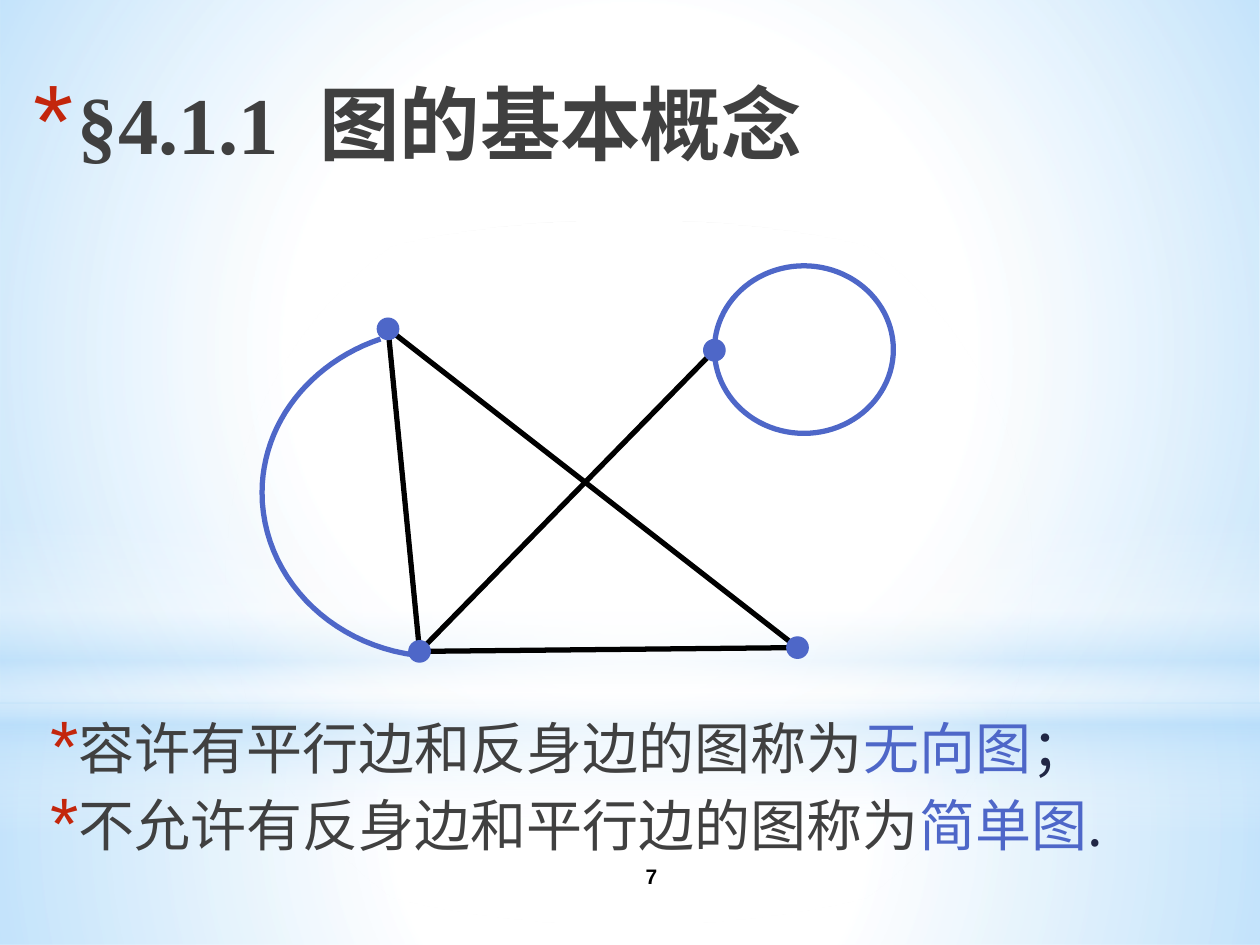
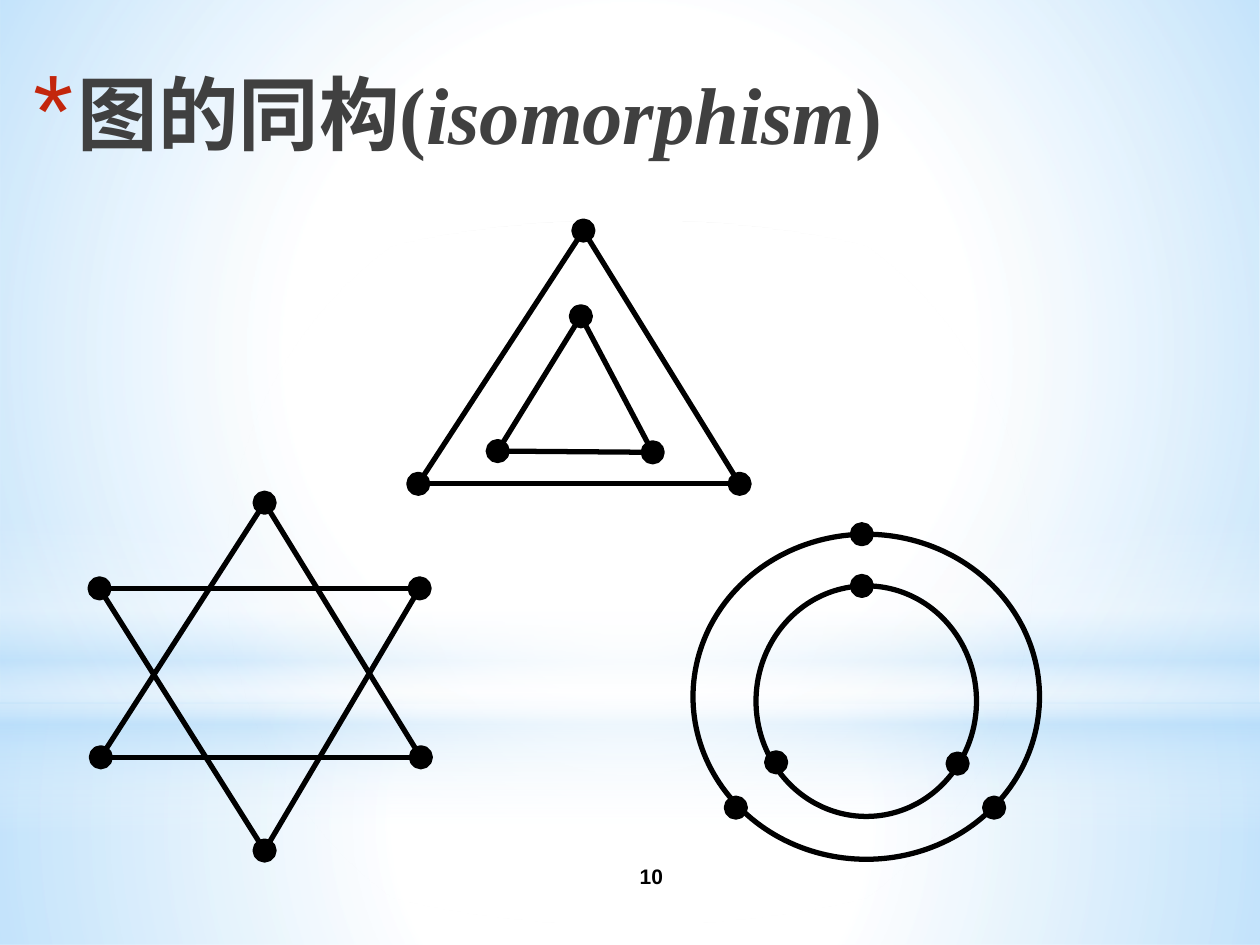
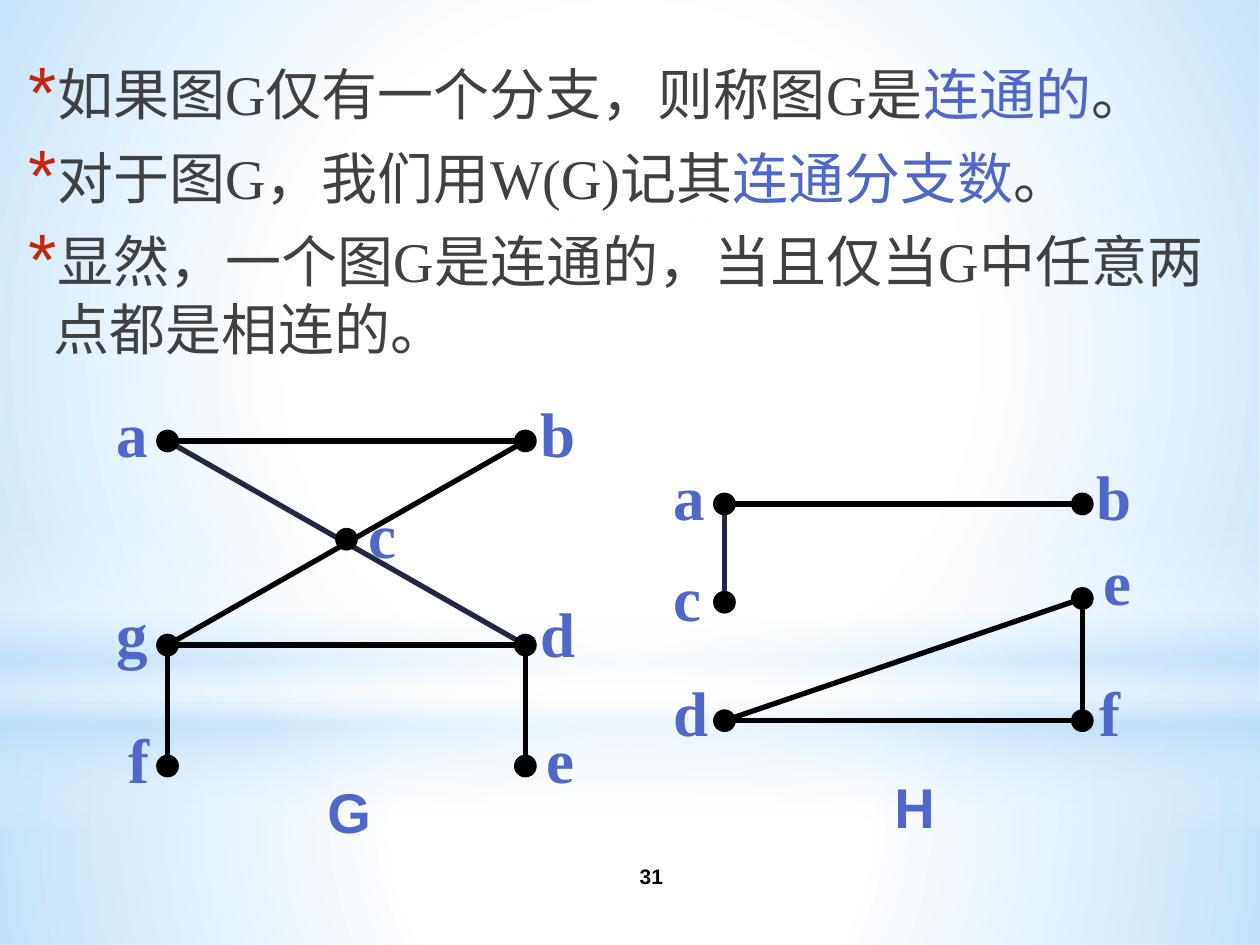
import pptx
import pptx.util
import pptx.dml.color
import pptx.enum.shapes
import pptx.enum.text
import pptx.oxml
import pptx.oxml.ns

Inches = pptx.util.Inches
Pt = pptx.util.Pt
RGB = pptx.dml.color.RGBColor
KIND = pptx.enum.shapes.MSO_SHAPE
ALIGN = pptx.enum.text.PP_ALIGN
ANCHOR = pptx.enum.text.MSO_ANCHOR

BLACK = RGB(0x00, 0x00, 0x00)
WHITE = RGB(0xFF, 0xFF, 0xFF)
SKY = RGB(0xB4, 0xDC, 0xFA)
BLUE = RGB(0x4E, 0x67, 0xC8)
NAVY = RGB(0x21, 0x27, 0x45)
GREY = RGB(0x40, 0x40, 0x40)
RED = RGB(0xC3, 0x26, 0x0C)

SERIF = "Times New Roman"
SANS = "Arial"
HAN = "Noto Sans CJK SC"
TITLE = {"size": Pt(46), "name": SERIF, "bold": True}
LABEL = {"size": Pt(36), "name": SERIF, "bold": True}
NAME = {"size": Pt(32), "name": SANS, "bold": True}
PAGE = {"size": Pt(12), "name": SANS, "bold": True}
WIDE = {"a": 0.45, "b": 0.48, "c": 0.42, "d": 0.48, "e": 0.42,
        "f": 0.41, "g": 0.45, "G": 0.55, "H": 0.52}

CENTRE = ('<a:path path="circle"><a:fillToRect l="50000" t="50000" '
          'r="50000" b="50000"/></a:path>')
DOWN = '<a:lin ang="5400000" scaled="0"/>'
BANDS = [
    (KIND.RECTANGLE, (0, 5.58, 10, 1.92), CENTRE,
     [(0, WHITE, 91), (37, WHITE, 76), (100, SKY, 79)]),
    (KIND.RECTANGLE, (0, 0, 10, 5.58), CENTRE,
     [(0, WHITE, 89), (48, WHITE, 62), (100, SKY, 79)]),
    (KIND.RECTANGLE, (0, 4.12, 10, 2.5), DOWN,
     [(0, WHITE, 0), (29, WHITE, 30), (45, SKY, 40),
      (55, WHITE, 26), (65, SKY, 60), (100, WHITE, 0)]),
    (KIND.OVAL, (0, 1.75, 10, 5.58), CENTRE,
     [(0, WHITE, 100), (56, WHITE, 0)]),
]


def put(item, values):
    for key, value in values.items():
        setattr(item, key, value)


def node(text):
    space = pptx.oxml.ns.nsdecls("a")
    return pptx.oxml.parse_xml(text.replace(" ", f" {space} ", 1))


def blend(shape, stops, path):
    marks = "".join(
        f'<a:gs pos="{pos * 1000}"><a:srgbClr val="{tint}">'
        f'<a:alpha val="{alpha * 1000}"/></a:srgbClr></a:gs>'
        for pos, tint, alpha in stops)
    shape.fill.background()
    old = shape.element.spPr.find(pptx.oxml.ns.qn("a:noFill"))
    old.getparent().replace(old, node(
        f'<a:gradFill rotWithShape="1"><a:gsLst>{marks}</a:gsLst>{path}</a:gradFill>'))


def backdrop(slide, layout):
    for holder in list(layout.placeholders):
        holder.element.getparent().remove(holder.element)
    bands = []
    for kind, box, path, stops in BANDS:
        band = slide.shapes.add_shape(kind, *map(Inches, box))
        band.shadow.inherit = False
        band.line.fill.background()
        blend(band, stops, path)
        bands.append(band)
    for band in bands:
        layout.element.cSld.spTree.append(band.element)


def write(para, runs, face):
    for text, tint, *more in runs:
        run = para.add_run()
        run.text = text
        put(run.font, face)
        run.font.color.rgb = tint
        for extra in more:
            put(run.font, extra)


def bullet(para, indent, hang, size):
    props = para._p.get_or_add_pPr()
    props.set("marL", str(Inches(indent)))
    props.set("indent", str(-Inches(hang)))
    for text in (f'<a:buClr ><a:srgbClr val="{RED}"/></a:buClr>',
                 f'<a:buSzPct val="{size * 1000}"/>',
                 f'<a:buFont typeface="{SANS}"/>',
                 '<a:buChar char="*"/>'):
        props.append(node(text))


def frame(shapes, box, wrap=True):
    text = shapes.add_textbox(*map(Inches, box)).text_frame
    text.word_wrap = wrap
    return text


def title(slide, top, runs):
    para = frame(slide.shapes, (0.17, top, 8.5, 0.83)).paragraphs[0]
    bullet(para, 0.35, 0.35, 128)
    para.line_spacing = Pt(58)
    write(para, runs, TITLE)


def body(slide, box, rows, font, pitch):
    text = frame(slide.shapes, box)
    for i, runs in enumerate(rows):
        para = text.add_paragraph() if i else text.paragraphs[0]
        bullet(para, 0.25, 0.2, 130)
        put(para, {"line_spacing": Pt(pitch), "space_after": Pt(3)})
        if i:
            para.space_before = Pt(6.4)
        write(para, runs, {"size": Pt(32), "name": font})


def footer(slide, number):
    text = frame(slide.shapes, (4.17, 6.75, 2, 0.4))
    text.vertical_anchor = ANCHOR.MIDDLE
    text.paragraphs[0].alignment = ALIGN.CENTER
    write(text.paragraphs[0], [(number, BLACK)], PAGE)


def line(shapes, start, end, tint=BLACK):
    link = shapes.add_connector(pptx.enum.shapes.MSO_CONNECTOR.STRAIGHT,
                                *map(Inches, start + end))
    link.line.color.rgb = tint
    link.line.width = Pt(3)
    link.element.spPr.append(node("<a:effectLst />"))


def oval(shapes, box, tint, width=3, solid=False):
    ring = shapes.add_shape(KIND.OVAL, *map(Inches, box))
    ring.shadow.inherit = False
    ring.line.color.rgb = tint
    ring.line.width = Pt(width)
    if solid:
        ring.fill.solid()
        ring.fill.fore_color.rgb = tint
    else:
        ring.fill.background()


def dot(shapes, spot, tint=BLACK, size=0.17, width=0.75):
    x, y = spot
    oval(shapes, (x - size / 2, y - size / 2, size, size), tint, width, True)


def bend(a, b, c, d, steps=24):
    for i in range(1, steps + 1):
        t = i / steps
        s = 1 - t
        yield tuple(s**3 * p + 3 * s * s * t * q + 3 * s * t * t * r + t**3 * u
                    for p, q, r, u in zip(a, b, c, d))


def shift(left, top, spots):
    return [(left + x, top + y) for x, y in spots]


def curve(shapes, left, top):
    ends = shift(left, top, [(0.94, 0), (0.38, 0.19), (0, 0.67), (0, 1.22),
                             (0, 1.87), (0.52, 2.42), (1.22, 2.51)])
    trail = [*bend(*ends[:4]), *bend(*ends[3:])]
    pen = shapes.build_freeform(*map(Inches, ends[0]))
    pen.add_line_segments([tuple(map(Inches, spot)) for spot in trail], close=False)
    arc = pen.convert_to_shape()
    arc.shadow.inherit = False
    arc.fill.background()
    arc.line.color.rgb = BLUE
    arc.line.width = Pt(3)


def loops(slide, left, top):
    curve(slide.shapes, left, top + 0.58)
    oval(slide.shapes, (left + 3.59, top, 1.42, 1.33), BLUE)
    group = slide.shapes.add_group_shape().shapes
    spots = shift(left, top, [(1, 0.5), (1.25, 3.06), (3.59, 0.67), (4.25, 3.03)])
    for i, j in ((0, 1), (3, 1), (0, 3), (2, 1)):
        line(group, spots[i], spots[j])
    for spot in spots:
        dot(group, spot, BLUE)


def rings(slide, left, top, trios):
    group = slide.shapes.add_group_shape().shapes
    for trio in trios:
        spots = shift(left, top, trio)
        for i, spot in enumerate(spots):
            line(group, spots[i - 1], spot)
        for spot in spots:
            dot(group, spot, size=0.15, width=3)


def rounds(slide, left, top):
    group = slide.shapes.add_group_shape().shapes
    oval(group, (left, top, 2.75, 2.58), BLACK)
    oval(group, (left + 0.5, top + 0.41, 1.75, 1.83), BLACK)
    for spot in shift(left, top, [(1.34, 0), (0.34, 2.17), (2.39, 2.17),
                                  (1.34, 0.41), (0.66, 1.81), (2.1, 1.82)]):
        dot(group, spot, size=0.15, width=3)


def label(shapes, text, spot, face):
    height = 0.63 if face is NAME else 0.7
    box = frame(shapes, (*spot, WIDE[text], height), False)
    write(box.paragraphs[0], [(text, BLUE)], face)


def graph(slide, left, top, nodes, edges, dark, name, spot):
    group = slide.shapes.add_group_shape().shapes
    spots = {key: shift(left, top, pair) for key, pair in nodes.items()}
    for a, b in [dark, *edges]:
        line(group, spots[a][0], spots[b][0], NAVY if a + b == dark else BLACK)
    for key, (centre, corner) in spots.items():
        dot(group, centre)
        label(group, key, corner, LABEL)
    label(group, name, shift(left, top, [spot])[0], NAME)


def basics(slide):
    title(slide, 0.5, [("§4.1.1  图的基本概念", GREY)])
    body(slide, (0.25, 5.67, 9.58, 1.25), [
        [("容许有平行边和反身边的图称为", GREY), ("无向图", BLUE), ("；", NAVY)],
        [("不允许有反身边和平行边的图称为", GREY), ("简单图", BLUE), (".", NAVY)],
    ], HAN, 34.5)
    loops(slide, 2.08, 2.11)
    footer(slide, "7")


def shapes(slide):
    title(slide, 0.42, [("图的同构(", GREY), ("isomorphism", GREY, {"italic": True}),
                        (")", GREY)])
    rings(slide, 0.72, 3.92, [
        [(1.38, 0.07), (0.08, 2.09), (2.62, 2.09)],
        [(0.07, 0.75), (2.61, 0.75), (1.38, 2.83)]])
    rings(slide, 3.25, 1.75, [
        [(1.38, 0.08), (0.07, 2.09), (2.62, 2.09)],
        [(1.36, 0.76), (0.7, 1.83), (1.93, 1.84)]])
    rounds(slide, 5.5, 4.24)
    footer(slide, "10")


def links(slide):
    body(slide, (0.08, 0.42, 9.58, 2.83), [
        [("如果图G仅有一个分支，则称图G是", GREY), ("连通的", BLUE), ("。", GREY)],
        [("对于图G，我们用W(G)记其", GREY), ("连通分支数", BLUE), ("。", GREY)],
        [("显然，一个图G是连通的，当且仅当G中任意两点都是相连的。", GREY)],
    ], SERIF, 38.5)
    graph(slide, 0.83, 3.08, {
        "a": [(0.5, 0.42), (0, 0)], "b": [(3.34, 0.42), (3.36, 0)],
        "c": [(1.92, 1.2), (2, 0.8)], "d": [(3.34, 2.04), (3.36, 1.59)],
        "e": [(3.34, 3), (3.41, 2.59)], "f": [(0.5, 3), (0.09, 2.59)],
        "g": [(0.5, 2.04), (0, 1.59)],
    }, ["gb", "ab", "gd", "gf", "de"], "ad", "G", (1.67, 3.04))
    graph(slide, 5.25, 3.58, {
        "a": [(0.5, 0.42), (0, 0)], "b": [(3.34, 0.42), (3.35, 0)],
        "c": [(0.5, 1.2), (0, 0.8)], "d": [(0.5, 2.14), (0, 1.72)],
        "e": [(3.34, 1.17), (3.41, 0.68)], "f": [(3.34, 2.14), (3.38, 1.72)],
    }, ["de", "ab", "df", "ef"], "ac", "H", (1.75, 2.5))
    footer(slide, "31")


def main():
    deck = pptx.Presentation()
    put(deck, {"slide_width": Inches(10), "slide_height": Inches(7.5)})
    blank = deck.slide_layouts[6]
    for i, build in enumerate((basics, shapes, links)):
        slide = deck.slides.add_slide(blank)
        if i == 0:
            backdrop(slide, blank)
        build(slide)
    deck.save("out.pptx")


if __name__ == "__main__":
    main()
